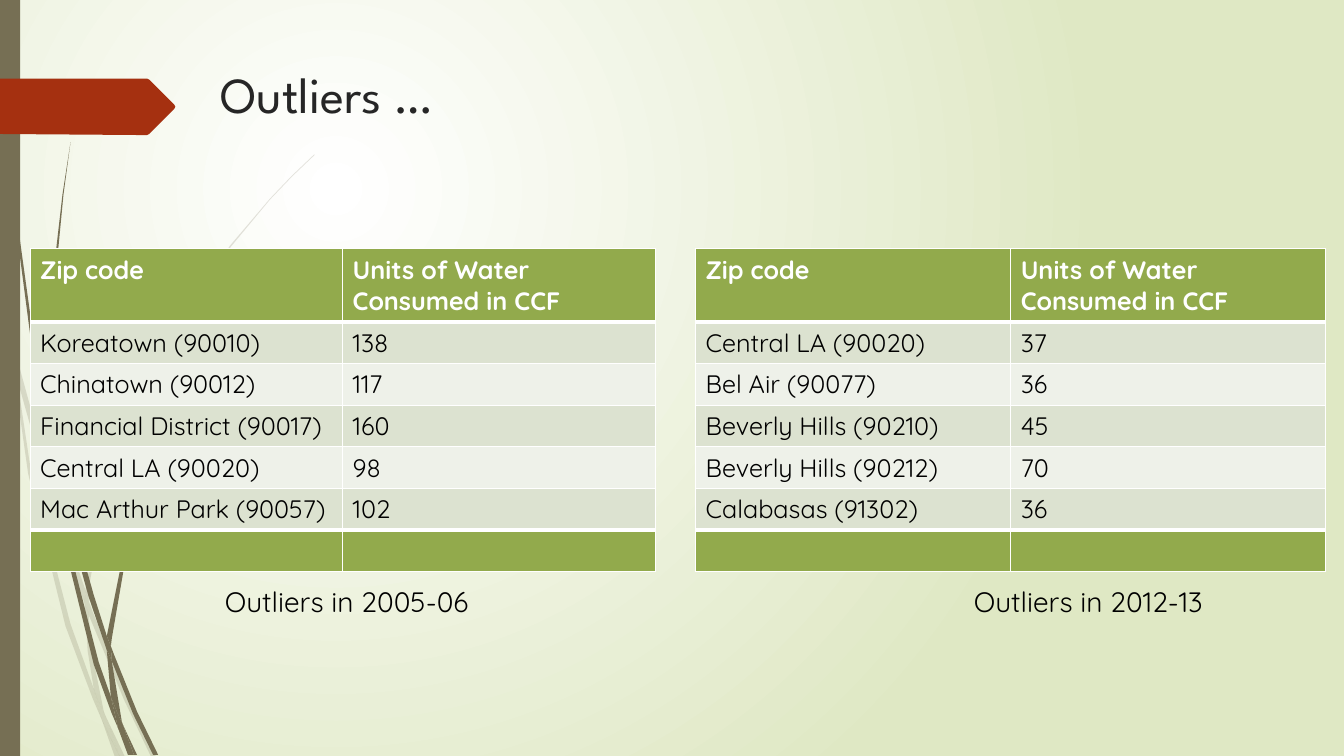
from lxml import etree
from pptx import Presentation
from pptx.dml.color import RGBColor
from pptx.enum.shapes import MSO_SHAPE
from pptx.enum.text import MSO_ANCHOR, PP_ALIGN
from pptx.oxml.ns import qn
from pptx.util import Cm, Pt

RECT = MSO_SHAPE.RECTANGLE
TOP = MSO_ANCHOR.TOP
LEFT = PP_ALIGN.LEFT
MID = PP_ALIGN.CENTER

HEAD = "League Spartan"
BODY = "Quicksand"
WHITE, BLACK, INK = "FFFFFF", "000000", "262626"
PALE, BARK, RUST = "DFE8C4", "766F54", "A53010"
GREEN, DARK, LIGHT = "92AA4C", "DCE2D0", "EEF1E9"

FAINT = [
    [(11, 350), (9, 322), (0, 282), (0, 299), (10, 344)],
    [(58, 522), (84, 599), (85, 586), (62, 520), (14, 345), (17, 376)],
    [(92, 607), (88, 596), (88, 610), (123, 694), (150, 751), (155, 751),
     (127, 692)],
    [(119, 751), (124, 751), (105, 711)],
    [(93, 683), (70, 619), (31, 469), (17, 376), (11, 350), (28, 470),
     (65, 621), (92, 693), (101, 714), (99, 707)],
    [(84, 599), (87, 646), (93, 683), (96, 692), (105, 711), (103, 706),
     (91, 646), (88, 610), (88, 608)],
    [(88, 584), (110, 462), (160, 349), (229, 245), (268, 198), (290, 175),
     (312, 154), (312, 153), (289, 175), (268, 197), (228, 244), (158, 348),
     (107, 461), (85, 584), (85, 586), (88, 596)],
    [(101, 714), (114, 751), (119, 751)],
    [(88, 608), (88, 610), (88, 596), (85, 586), (84, 599)],
    [(96, 692), (93, 683), (99, 707), (101, 714), (119, 751), (105, 711)],
]
BOLD = [
    [(7, 110), (17, 233), (33, 355), (56, 477), (57, 481), (55, 457),
     (55, 453), (36, 355), (19, 232), (8, 109), (5, 48), (4, 0), (3, 0),
     (4, 48)],
    [(88, 592), (106, 645), (106, 633), (106, 631), (93, 590), (60, 472),
     (64, 505)],
    [(113, 649), (110, 641), (111, 656), (132, 708), (152, 749), (157, 749),
     (136, 706)],
    [(110, 691), (98, 657), (72, 556), (64, 505), (57, 477), (68, 557),
     (93, 659), (111, 708), (117, 722), (116, 717)],
    [(60, 472), (58, 453), (54, 349), (58, 245), (63, 193), (70, 141),
     (62, 193), (56, 245), (52, 349), (55, 449)],
    [(133, 749), (136, 749), (122, 719)],
    [(57, 477), (64, 505), (60, 472), (55, 449), (55, 453)],
    [(111, 633), (125, 552), (158, 476), (205, 406), (231, 374), (245, 359),
     (261, 344), (260, 344), (245, 358), (231, 373), (204, 405), (156, 474),
     (122, 551), (106, 631), (110, 641)],
    [(117, 722), (127, 749), (131, 749)],
    [(106, 645), (110, 691), (116, 706), (122, 719), (121, 716), (111, 656),
     (109, 651)],
    [(106, 645), (109, 651), (111, 656), (110, 641), (106, 631), (106, 633)],
    [(116, 706), (110, 691), (116, 717), (117, 722), (130, 749), (133, 749),
     (122, 719)],
]
TAG = [(173, 108), (148, 133), (146, 134), (136, 134), (0, 133), (0, 78),
       (146, 78), (148, 79), (173, 104), (174, 106)]

TITLES = ("Zip code", "Units of Water Consumed in CCF")
EARLY = [("Koreatown (90010)", "138"), ("Chinatown (90012)", "117"),
         ("Financial District (90017)", "160"), ("Central LA (90020)", "98"),
         ("Mac Arthur Park (90057)", "102")]
LATE = [("Central LA (90020)", "37"), ("Bel Air (90077)", "36"),
        ("Beverly Hills (90210)", "45"), ("Beverly Hills (90212)", "70"),
        ("Calabasas (91302)", "36")]


def tint(code):
    return RGBColor.from_string(code)


class Deck:
    def __init__(self):
        self.show = Presentation()
        self.show.slide_width = Cm(33.87)
        self.show.slide_height = Cm(19.05)
        self.slide = self.show.slides.add_slide(self.show.slide_layouts[6])
        self.shapes = self.slide.shapes

    def glow(self, inner, outer):
        fill = self.slide.background.fill
        fill.gradient()
        for stop, code in zip(fill.gradient_stops, (inner, outer)):
            stop.color.rgb = tint(code)
        grad = self.slide.element.find(".//" + qn("a:gradFill"))
        grad.remove(grad.find(qn("a:lin")))
        ring = etree.SubElement(grad, qn("a:path"), path="circle")
        etree.SubElement(ring, qn("a:fillToRect"), l="50000", t="50000",
                         r="100000", b="100000")

    def paint(self, shape, code, alpha=100):
        shape.shadow.inherit = False
        shape.fill.solid()
        shape.fill.fore_color.rgb = tint(code)
        shape.line.fill.background()
        if alpha < 100:
            color = shape.element.find(".//" + qn("a:srgbClr"))
            etree.SubElement(color, qn("a:alpha"), val=str(alpha * 1000))

    def bar(self, x, y, w, h, code):
        self.paint(self.shapes.add_shape(RECT, Cm(x), Cm(y), Cm(w), Cm(h)),
                   code)

    def blade(self, points, code, alpha=100):
        pen = self.shapes.build_freeform(*points[0], scale=Cm(2.54) / 100)
        pen.add_line_segments(points[1:], close=True)
        self.paint(pen.convert_to_shape(), code, alpha)

    def label(self, frame, words, size, font, code, bold=False, align=LEFT):
        para = frame.paragraphs[0]
        para.alignment = align
        run = para.add_run()
        run.text = words
        run.font.size = Pt(size)
        run.font.name = font
        run.font.bold = bold
        run.font.color.rgb = tint(code)

    def text(self, x, y, w, h, words, size, font, code, align=LEFT):
        frame = self.shapes.add_textbox(Cm(x), Cm(y), Cm(w), Cm(h)).text_frame
        frame.word_wrap = True
        frame.vertical_anchor = TOP
        self.label(frame, words, size, font, code, align=align)

    def edge(self, cell, above, below):
        props = cell._tc.get_or_add_tcPr()
        for side, width in zip("LRTB", (1, 1, above, below)):
            line = etree.SubElement(props, qn("a:ln" + side),
                                    w=str(Pt(width)))
            solid = etree.SubElement(line, qn("a:solidFill"))
            etree.SubElement(solid, qn("a:srgbClr"), val=WHITE)

    def table(self, x, y, w, data):
        rows = [TITLES, *data, ("", "")]
        last = len(rows) - 1
        high = [1.84] + [1.05] * last
        grid = self.shapes.add_table(len(rows), 2, Cm(x), Cm(y), Cm(w),
                                     Cm(sum(high))).table
        grid.horz_banding = False
        for col in grid.columns:
            col.width = Cm(w / 2)
        for i, row in enumerate(rows):
            grid.rows[i].height = Cm(high[i])
            ends = i in (0, last)
            code = GREEN if ends else DARK if i % 2 else LIGHT
            for j, words in enumerate(row):
                cell = grid.cell(i, j)
                self.edge(cell, 3 if i in (1, last) else 1,
                          3 if i in (0, last - 1) else 1)
                cell.fill.solid()
                cell.fill.fore_color.rgb = tint(code)
                if words:
                    self.label(cell.text_frame, words, 18, BODY,
                               WHITE if ends else BLACK, bold=ends)


def main():
    deck = Deck()
    deck.glow(WHITE, PALE)
    for points in FAINT:
        deck.blade(points, BARK, 20)
    for points in BOLD:
        deck.blade(points, BARK)
    deck.bar(0, 0, 0.51, 19.05, BARK)
    deck.blade(TAG, RUST)
    deck.text(5.31, 1.47, 24.77, 3.56, "Outliers …", 36, HEAD, INK)
    deck.table(0.76, 6.27, 15.75, EARLY)
    deck.table(17.53, 6.27, 15.88, LATE)
    for x, words in ((3.66, "Outliers in 2005-06"),
                     (22.35, "Outliers in 2012-13")):
        deck.text(x, 14.6, 10.16, 1.12, words, 20, BODY, BLACK, MID)
    deck.show.save("out.pptx")


if __name__ == "__main__":
    main()
